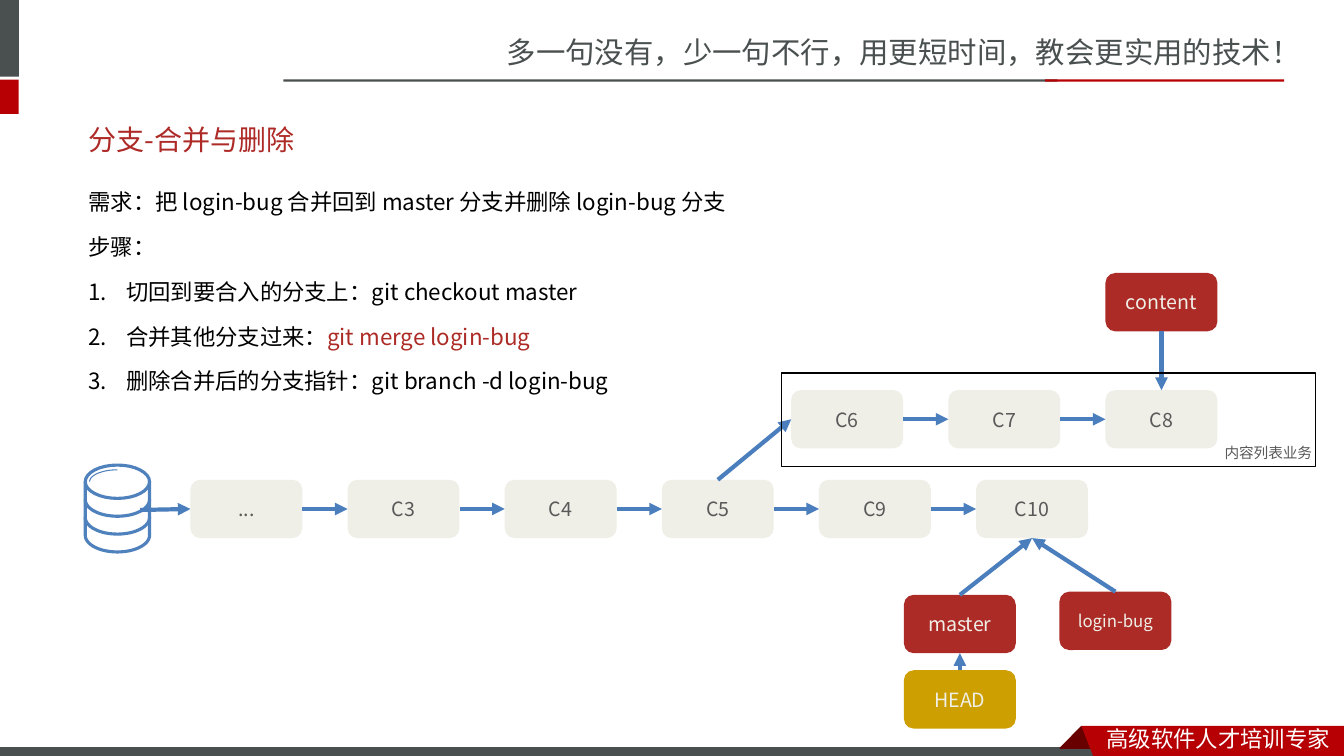
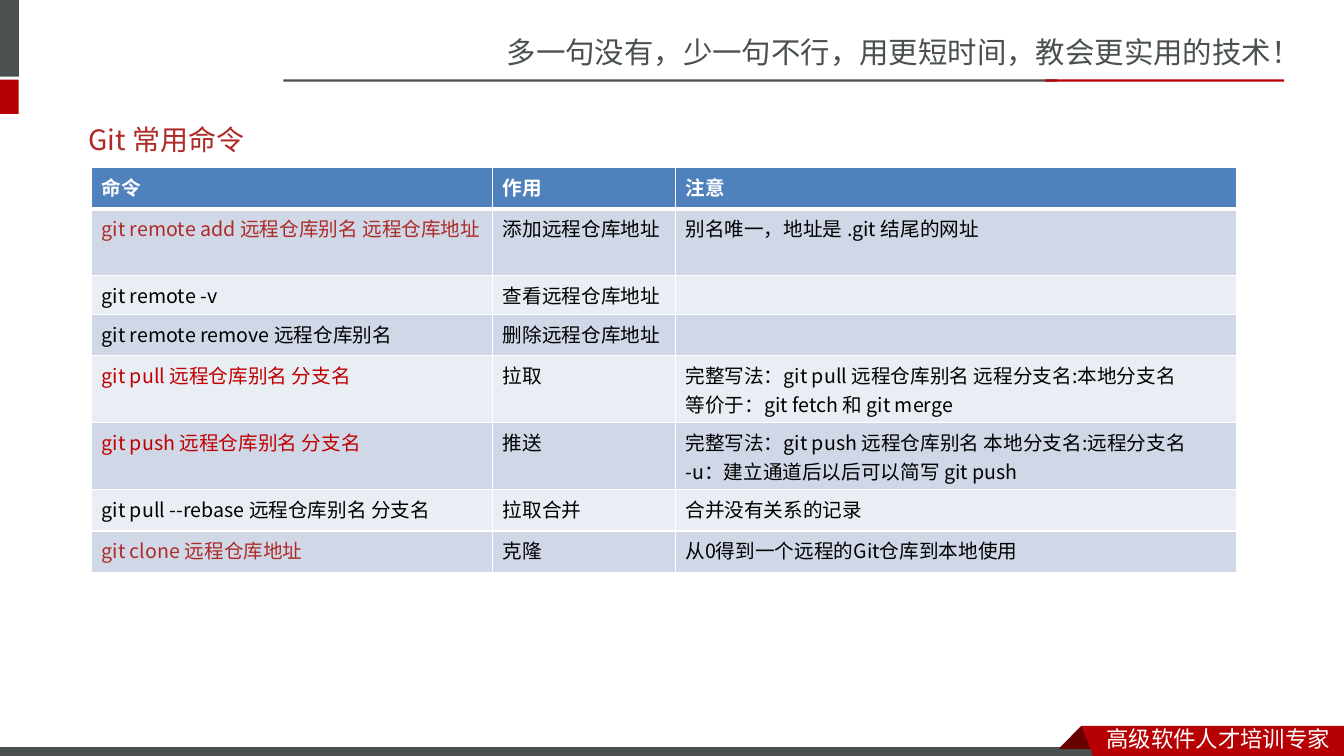
from math import cos, pi, sin

from lxml import etree
from pptx import Presentation
from pptx.dml.color import RGBColor
from pptx.enum.shapes import MSO_CONNECTOR, MSO_SHAPE
from pptx.enum.text import MSO_ANCHOR, PP_ALIGN
from pptx.oxml.ns import qn
from pptx.util import Cm, Pt

RECT, ROUNDED = MSO_SHAPE.RECTANGLE, MSO_SHAPE.ROUNDED_RECTANGLE
STRAIGHT = MSO_CONNECTOR.STRAIGHT
CENTER, MIDDLE = PP_ALIGN.CENTER, MSO_ANCHOR.MIDDLE
TOP, LEFT, BOTTOM, RIGHT = range(4)

COLORS = {
    "slate": "49504F", "red": "B60004", "fold": "680000", "title": "AD2A26",
    "accent": "AD2B26", "strong": "C00000", "gold": "CD9F00", "commit": "EFEFE7",
    "gray": "595959", "arrow": "4B7EBC", "blue": "4F81BD", "odd_row": "D0D8E8",
    "even_row": "E9EDF4", "white": "FFFFFF", "black": "000000",
}
BRAND_FONT = "Noto Sans CJK SC"
BODY_FONT = "Noto Sans CJK JP"


def write(frame, lines, size, color, font=BODY_FONT, bold=False, **paragraph_format):
    """Fill a text frame; a line given as a pair has its second part accented."""
    frame.word_wrap = True
    for number, line in enumerate(lines):
        paragraph = frame.add_paragraph() if number else frame.paragraphs[0]
        for name, value in paragraph_format.items():
            setattr(paragraph, name, value)
        parts = (line,) if isinstance(line, str) else line
        for part, tone in zip(parts, (color, "accent")):
            if not part:
                etree.SubElement(paragraph._p, qn("a:endParaRPr"), sz=str(size * 100))
                continue
            run = paragraph.add_run()
            run.text = part
            for name, value in {"size": Pt(size), "bold": bold, "name": font}.items():
                setattr(run.font, name, value)
            run.font.color.rgb = RGBColor.from_string(COLORS[tone])
            etree.SubElement(run._r.get_or_add_rPr(), qn("a:ea"), typeface=font)


def paint(shape, fill=None, line=None, width=1):
    shape.shadow.inherit = False
    if fill:
        shape.fill.solid()
        shape.fill.fore_color.rgb = RGBColor.from_string(COLORS[fill])
    else:
        shape.fill.background()
    if line:
        shape.line.color.rgb = RGBColor.from_string(COLORS[line])
        shape.line.width = Pt(width)
    else:
        shape.line.fill.background()


# Shared look
BANDS = [
    (-0.15, 0, 0.63, 1.93, "slate", None),
    (-0.15, 2.01, 0.62, 0.86, "red", None),
    (7.14, 2, 19.51, 0.06, "slate", None),
    (26.34, 2, 6.02, 0.06, "red", None),
    (-0.03, 18.82, 27.94, 0.3, "slate", "white"),
]
RIBBON = [
    ("fold", [(27.25, 18.29), (27.81, 18.85), (27.79, 18.87), (26.72, 18.87), (26.7, 18.85)]),
    ("red", [(27.25, 18.29), (33.87, 18.29), (33.87, 19.15), (27.58, 19.13)]),
]
SLOGAN = "多一句没有，少一句不行，用更短时间，教会更实用的技术！"
TAGLINE = "高级软件人才培训专家"

deck = Presentation()
deck.slide_width, deck.slide_height = Cm(33.87), Cm(19.05)
slides = []
for title in ("分支-合并与删除", "Git 常用命令"):
    slide = deck.slides.add_slide(deck.slide_layouts[6])
    slides.append(slide)
    for *box, fill, line in BANDS:
        paint(slide.shapes.add_shape(RECT, *map(Cm, box)), fill, line, 0.75)
    for fill, corners in RIBBON:
        points = [(Cm(x), Cm(y)) for x, y in corners]
        outline = slide.shapes.build_freeform(*points[0])
        outline.add_line_segments(points[1:])
        paint(outline.convert_to_shape(), fill)
    for text, box, size, color, font in (
        (SLOGAN, (12.52, 0.73, 21.36, 1.19), 21, "slate", BRAND_FONT),
        (TAGLINE, (27.64, 18.16, 6.22, 0.94), 16, "white", BRAND_FONT),
        (title, (1.98, 2.79, 29.77, 1.45), 20, "title", BODY_FONT),
    ):
        frame = slide.shapes.add_textbox(*map(Cm, box)).text_frame
        write(frame, [text], size, color, font)
    frame.vertical_anchor = MIDDLE  # the title comes last
branch_slide, command_slide = slides

# Slide 1: steps
steps = branch_slide.shapes.add_textbox(Cm(1.98), Cm(4.17), Cm(29.77), Cm(12.65)).text_frame
write(steps, [
    "需求：把 login-bug 合并回到 master 分支并删除 login-bug 分支",
    "步骤：",
    "切回到要合入的分支上：git checkout master",
    ("合并其他分支过来：", "git merge login-bug"),
    "删除合并后的分支指针：git branch -d login-bug",
], 16, "black", line_spacing=Pt(32))
for paragraph in steps.paragraphs[2:]:
    properties = paragraph._p.get_or_add_pPr()
    properties.set("marL", str(Cm(0.95)))
    properties.set("indent", str(-Cm(0.95)))
    etree.SubElement(properties, qn("a:buAutoNum"), type="arabicPeriod")

# Slide 1: repository cylinder, made of elliptical arcs
CYLINDER_X, CYLINDER_Y, DISK_STEP = 2.96, 12.14, 0.45
SEGMENTS = 32
arcs = [(0, 0.81, 0.42, 0, 2 * pi)]
arcs += [(disk, 0.81, 0.42, pi, 0) for disk in (1, 2, 3)]
arcs.append((0, 0.7, 0.3, pi, 1.5 * pi))
for disk, radius_x, radius_y, start, end in arcs:
    angles = [start + (end - start) * i / SEGMENTS for i in range(SEGMENTS + 1)]
    points = [(Cm(CYLINDER_X + radius_x * cos(a)),
               Cm(CYLINDER_Y + disk * DISK_STEP + radius_y * sin(a))) for a in angles]
    if disk:  # the wall up to the disk above
        points = [(points[0][0], points[0][1] - Cm(DISK_STEP)), *points,
                  (points[-1][0], points[-1][1] - Cm(DISK_STEP))]
    outline = branch_slide.shapes.build_freeform(*points[0])
    outline.add_line_segments(points[1:], close=False)
    paint(outline.convert_to_shape(), None, "blue", 2.25 if radius_x > 0.7 else 0.75)

# Slide 1: commits and branch pointers
NODE_W, NODE_H, NODE_STEP = 2.82, 1.47, 3.96
MAIN_X, MAIN_Y = 4.8, 12.09
CONTENT_X, CONTENT_Y = 19.94, 9.83
main_line = ["...", "C3", "C4", "C5", "C9", "C10"]
content_line = ["C6", "C7", "C8"]
nodes = [(name, MAIN_X + i * NODE_STEP, MAIN_Y, "commit", "gray", 14)
         for i, name in enumerate(main_line)]
nodes += [(name, CONTENT_X + i * NODE_STEP, CONTENT_Y, "commit", "gray", 14)
          for i, name in enumerate(content_line)]
nodes += [
    ("master", 22.78, 14.99, "accent", "commit", 14),
    ("HEAD", 22.78, 16.89, "gold", "commit", 14),
    ("content", CONTENT_X + 2 * NODE_STEP, 6.88, "accent", "commit", 14),
    ("login-bug", 26.7, 14.91, "accent", "commit", 12),
]
node_by_name = {}
for name, x, y, fill, color, size in nodes:
    node = branch_slide.shapes.add_shape(ROUNDED, Cm(x), Cm(y), Cm(NODE_W), Cm(NODE_H))
    paint(node, fill)
    write(node.text_frame, [name], size, color, alignment=CENTER)
    node.text_frame.vertical_anchor = MIDDLE
    node_by_name[name] = node

arrows = [(None, None, "...", LEFT)]
for chain in (main_line, content_line):
    arrows += [(a, RIGHT, b, LEFT) for a, b in zip(chain, chain[1:])]
arrows += [
    ("C5", TOP, "C6", LEFT),
    ("content", BOTTOM, "C8", TOP),
    ("HEAD", TOP, "master", BOTTOM),
    ("master", TOP, "C10", BOTTOM),
    ("login-bug", TOP, "C10", BOTTOM),
]
for source, source_side, target, target_side in arrows:
    arrow = branch_slide.shapes.add_connector(STRAIGHT, Cm(3.53), Cm(12.85), Cm(4.8), Cm(12.83))
    if source:
        arrow.begin_connect(node_by_name[source], source_side)
    arrow.end_connect(node_by_name[target], target_side)
    arrow.line.color.rgb = RGBColor.from_string(COLORS["arrow"])
    arrow.line.width = Pt(3)
    properties = arrow._element.spPr
    etree.SubElement(properties.find(qn("a:ln")), qn("a:tailEnd"), type="triangle")
    etree.SubElement(properties, qn("a:effectLst"))

content_frame = branch_slide.shapes.add_shape(RECT, Cm(19.69), Cm(9.4), Cm(13.46), Cm(2.36))
paint(content_frame, None, "black")
content_label = branch_slide.shapes.add_textbox(Cm(30.61), Cm(11.05), Cm(2.82), Cm(0.71))
write(content_label.text_frame, ["内容列表业务"], 10.5, "gray")

# Slide 2: command table
ONE_LINE, TIGHT_LINE, TWO_LINES = 1.04, 0.97, 1.69  # row heights
COMMANDS = [
    ("命令", "作用", "注意", "white", ONE_LINE),
    ("git remote add 远程仓库别名 远程仓库地址", "添加远程仓库地址",
     "别名唯一，地址是 .git 结尾的网址", "accent", TWO_LINES),
    ("git remote -v", "查看远程仓库地址", "", "black", TIGHT_LINE),
    ("git remote remove 远程仓库别名", "删除远程仓库地址", "", "black", ONE_LINE),
    ("git pull 远程仓库别名 分支名", "拉取",
     "完整写法：git pull 远程仓库别名 远程分支名:本地分支名\n等价于：git fetch 和 git merge",
     "strong", TWO_LINES),
    ("git push 远程仓库别名 分支名", "推送",
     "完整写法：git push 远程仓库别名 本地分支名:远程分支名\n-u：建立通道后以后可以简写 git push",
     "strong", TWO_LINES),
    ("git pull --rebase 远程仓库别名 分支名", "拉取合并", "合并没有关系的记录", "black", ONE_LINE),
    ("git clone 远程仓库地址", "克隆", "从0得到一个远程的Git仓库到本地使用", "accent", ONE_LINE),
]
COLUMN_WIDTHS = (10.11, 4.6, 14.15)
table = command_slide.shapes.add_table(
    len(COMMANDS), len(COLUMN_WIDTHS), Cm(2.31), Cm(4.22),
    Cm(sum(COLUMN_WIDTHS)), Cm(sum(command[-1] for command in COMMANDS))).table
for column, width in zip(table.columns, COLUMN_WIDTHS):
    column.width = Cm(width)
for row, (*texts, command_color, height) in enumerate(COMMANDS):
    table.rows[row].height = Cm(height)
    header = row == 0
    fill = "blue" if header else ("odd_row" if row % 2 else "even_row")
    for column, text in enumerate(texts):
        cell = table.cell(row, column)
        color = command_color if header or column == 0 else "black"
        write(cell.text_frame, text.split("\n"), 14, color, bold=header)
        if height == TIGHT_LINE:
            cell.vertical_anchor = MIDDLE
        properties = cell._tc.get_or_add_tcPr()
        thick_side = {0: "lnB", 1: "lnT"}.get(row)
        for side in ("lnL", "lnR", "lnT", "lnB"):
            border = etree.SubElement(properties, qn("a:" + side),
                                      w=str(Pt(3 if side == thick_side else 1)))
            border_fill = etree.SubElement(border, qn("a:solidFill"))
            etree.SubElement(border_fill, qn("a:srgbClr"), val=COLORS["white"])
        cell.fill.solid()
        cell.fill.fore_color.rgb = RGBColor.from_string(COLORS[fill])

deck.save("out.pptx")
